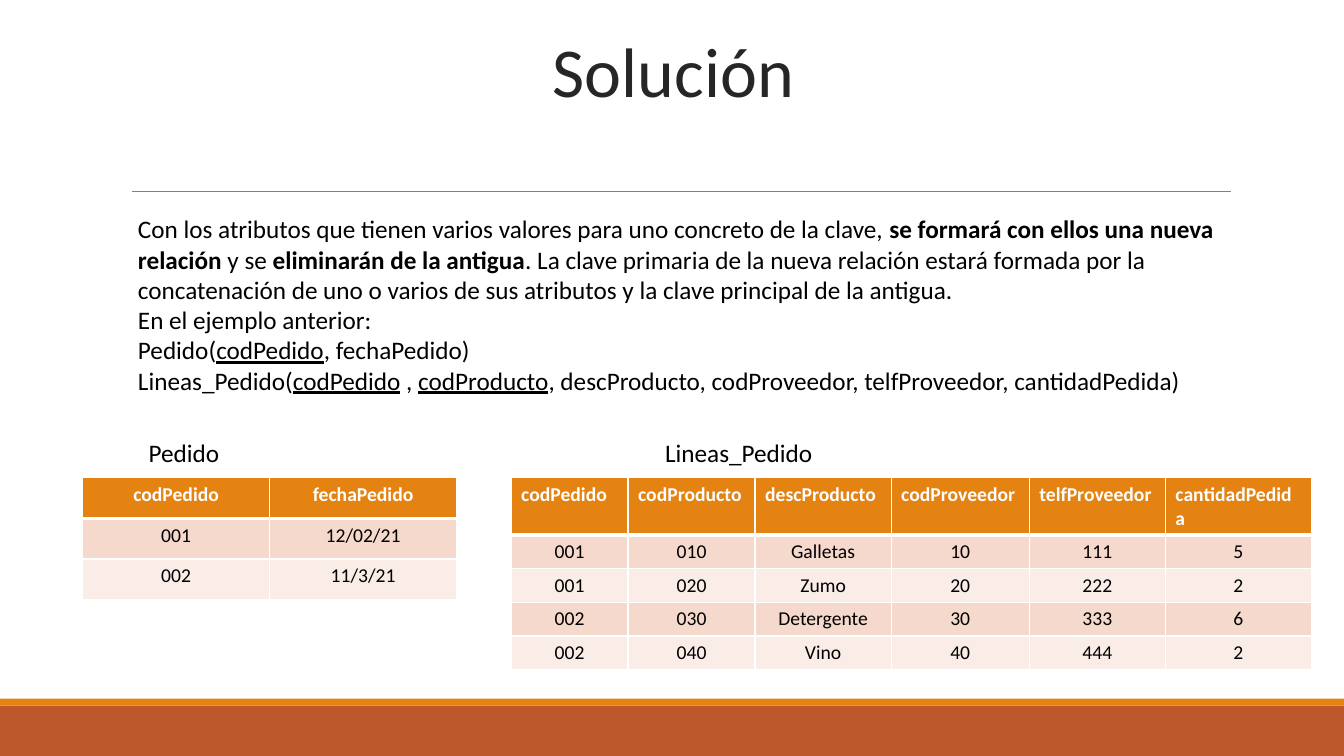
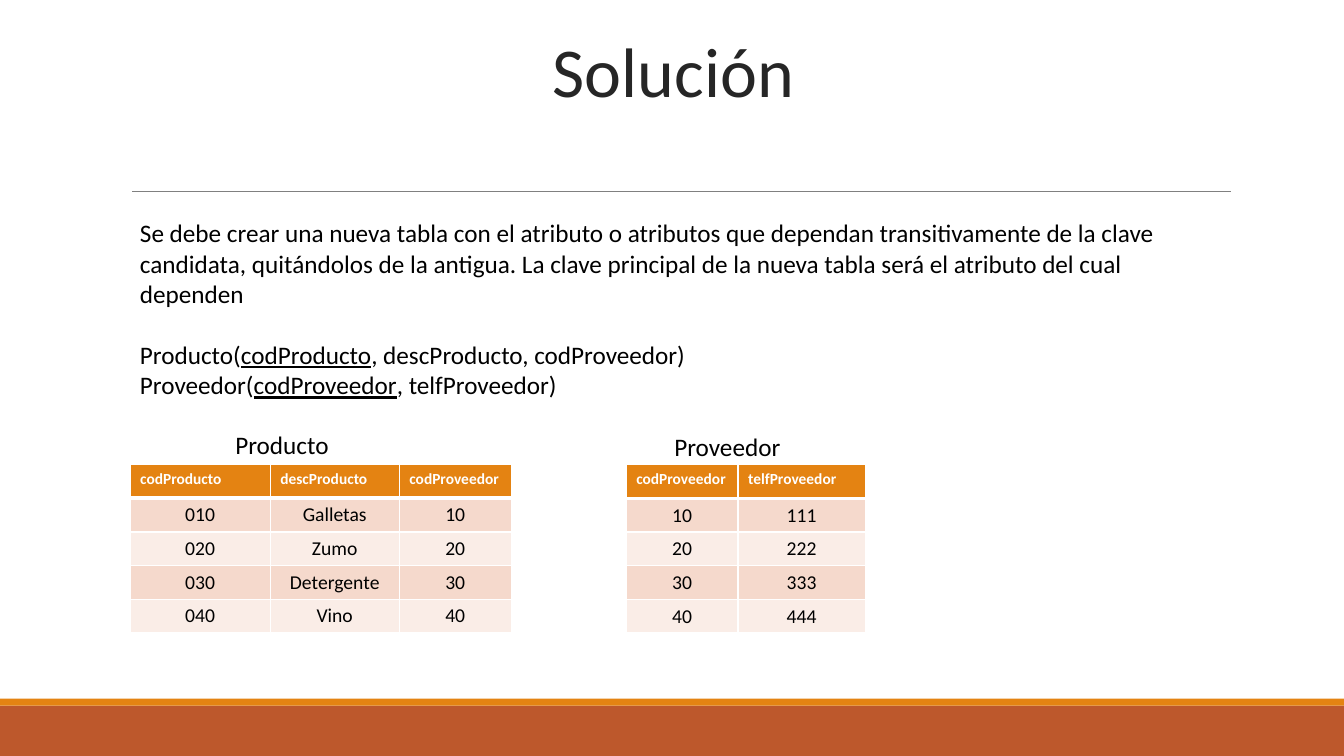
import dataclasses

import pptx
import pptx.dml.color
import pptx.enum.shapes
import pptx.enum.text
import pptx.oxml.ns
import pptx.util
from lxml import etree

ALIGN = pptx.enum.text.PP_ALIGN
WIDE, HIGH = pptx.util.Inches(13.33), pptx.util.Inches(7.5)


@dataclasses.dataclass(frozen=True)
class Theme:
    font: str = "Calibri"
    ink: str = "000000"
    title: str = "262626"
    white: str = "FFFFFF"
    rule: str = "808080"
    rust: str = "BD582C"
    amber: str = "E48312"
    bands: tuple = ("F5D9CC", "FAEDE7")
    big: int = 50
    body: int = 18
    cell: int = 14
    small: int = 11


THEME = Theme()


@dataclasses.dataclass(frozen=True)
class Box:
    """Left, top, width and height in percent of the slide."""
    x: float
    y: float
    w: float
    h: float

    def place(self):
        return (int(WIDE * self.x / 100), int(HIGH * self.y / 100),
                int(WIDE * self.w / 100), int(HIGH * self.h / 100))


def tint(code):
    return pptx.dml.color.RGBColor.from_string(code)


def write(para, text, size, color=THEME.ink, style=""):
    """Add one run; style holds b for bold and u for underline."""
    run = para.add_run()
    run.text = text
    font = run.font
    font.name, font.size = THEME.font, pptx.util.Pt(size)
    font.color.rgb = tint(color)
    font.bold, font.underline = "b" in style, "u" in style


def prose(slide, box, paras):
    """Write paragraphs, each a pair of space before and runs."""
    frame = slide.shapes.add_textbox(*box.place()).text_frame
    frame.word_wrap = True
    for num, (gap, runs) in enumerate(paras):
        para = frame.add_paragraph() if num else frame.paragraphs[0]
        if gap:
            para.space_before = pptx.util.Pt(gap)
        for text, style in runs:
            write(para, text, THEME.body, style=style)


def edge(cell, side, width):
    line = etree.SubElement(cell._tc.get_or_add_tcPr(),
                            pptx.oxml.ns.qn(f"a:ln{side}"),
                            w=str(int(pptx.util.Pt(width))))
    fill = etree.SubElement(line, pptx.oxml.ns.qn("a:solidFill"))
    etree.SubElement(fill, pptx.oxml.ns.qn("a:srgbClr"), val=THEME.white)


def grid(slide, box, cols, rows, size, align):
    """Draw a table; cols are relative widths, size and align are the head's."""
    table = slide.shapes.add_table(len(rows), len(cols), *box.place()).table
    for col, part in zip(table.columns, cols):
        col.width = int(WIDE * box.w / 100 * part / sum(cols))
    for i, row in enumerate(rows):
        head = i == 0
        for j, text in enumerate(row):
            cell = table.cell(i, j)
            for side, width in (("L", 1), ("R", 1), ("T", 3 if i == 1 else 1),
                                ("B", 3 if head else 1)):
                edge(cell, side, width)
            cell.fill.solid()
            cell.fill.fore_color.rgb = tint(
                THEME.amber if head else THEME.bands[(i - 1) % 2])
            para = cell.text_frame.paragraphs[0]
            para.alignment = align if head else ALIGN.CENTER
            if head:
                write(para, text, size, THEME.white, "b")
            else:
                write(para, text, THEME.cell)


def panel(slide, box, name, indent, span, drop, cols, rows,
          size=THEME.cell, align=ALIGN.LEFT):
    """Place a label above a table; indent and span are shares of the box."""
    label = Box(box.x + box.w * indent, box.y, box.w * span, 5.33)
    prose(slide, label, [(0, [(name, "")])])
    area = Box(box.x, box.y + drop, box.w, box.h - drop)
    grid(slide, area, cols, rows, size, align)


def dress(layout, slide):
    """Move the bands and the rule, drawn on a slide, into its layout."""
    for item in list(layout.placeholders)[1:]:
        layout.shapes.element.remove(item.element)
    parts = []
    for box, color in ((Box(0, 93.33, 100, 6.67), THEME.rust),
                       (Box(0, 92.4, 100, 0.93), THEME.amber)):
        band = slide.shapes.add_shape(
            pptx.enum.shapes.MSO_SHAPE.RECTANGLE, *box.place())
        band.shadow.inherit = False
        band.fill.solid()
        band.fill.fore_color.rgb = tint(color)
        band.line.fill.background()
        parts.append(band)
    x, y, w, _ = Box(9.83, 25.33, 81.77, 0).place()
    rule = slide.shapes.add_connector(
        pptx.enum.shapes.MSO_CONNECTOR.STRAIGHT, x, y, x + w, y)
    rule.line.color.rgb = tint(THEME.rule)
    rule.line.width = pptx.util.Pt(0.5)
    etree.SubElement(rule.element.spPr, pptx.oxml.ns.qn("a:effectLst"))
    for part in parts + [rule]:
        layout.shapes.element.append(part.element)


def start(deck, text):
    """Add a slide with its title."""
    slide = deck.slides.add_slide(deck.slide_layouts[5])
    title = slide.shapes.title
    title.left, title.top, title.width, title.height = Box(
        2.63, 4.93, 94.97, 10.53).place()
    frame = title.text_frame
    frame.word_wrap = True
    frame.auto_size = pptx.enum.text.MSO_AUTO_SIZE.NONE
    frame.vertical_anchor = pptx.enum.text.MSO_ANCHOR.MIDDLE
    frame.margin_left = frame.margin_right = 0
    para = frame.paragraphs[0]
    para.alignment, para.line_spacing = ALIGN.CENTER, 0.8
    write(para, text, THEME.big, THEME.title)
    return slide


def orders(slide):
    prose(slide, Box(9.53, 27.6, 81.7, 29.6), [
        (0, [("Con los atributos que tienen varios valores para uno concreto "
              "de la clave, ", ""),
             ("se formará con ellos una nueva relación ", "b"),
             ("y se ", ""),
             ("eliminarán de la antigua", "b"),
             (". La clave primaria de la nueva relación estará formada por la "
              "concatenación de uno o varios de sus atributos y la clave "
              "principal de la antigua.", "")]),
        (0, [("En el ejemplo anterior:", "")]),
        (0, [("Pedido(", ""), ("codPedido", "u"), (", fechaPedido)", "")]),
        (0, [("Lineas_Pedido(", ""), ("codPedido", "u"), (" , ", ""),
             ("codProducto", "u"),
             (", descProducto, codProveedor, telfProveedor, cantidadPedida)",
              "")]),
    ])
    panel(slide, Box(6.15, 57.2, 27.83, 22.13), "Pedido", 0.15, 0.63, 6,
          (1, 1), [("codPedido", "fechaPedido"),
                   ("001", "12/02/21"), ("002", "11/3/21")],
          align=ALIGN.CENTER)
    panel(slide, Box(38.03, 57.2, 59.56, 28.27), "Lineas_Pedido",
          0.18, 0.35, 6, (116, 126, 135, 137, 135, 145),
          [("codPedido", "codProducto", "descProducto", "codProveedor",
            "telfProveedor", "cantidadPedida"),
           ("001", "010", "Galletas", "10", "111", "5"),
           ("001", "020", "Zumo", "20", "222", "2"),
           ("002", "030", "Detergente", "30", "333", "6"),
           ("002", "040", "Vino", "40", "444", "2")])


def goods(slide):
    prose(slide, Box(9.68, 28.13, 77.57, 26), [
        (0, [("Se debe crear una nueva tabla con el atributo o atributos que "
              "dependan transitivamente de la clave candidata, quitándolos de "
              "la antigua. La clave principal de la nueva tabla será el "
              "atributo del cual dependen", "")]),
        (22, [("Producto(", ""), ("codProducto", "u"),
              (", descProducto, codProveedor)", "")]),
        (0, [("Proveedor(", ""), ("codProveedor", "u"),
             (", telfProveedor)", "")]),
    ])
    panel(slide, Box(9.68, 56.13, 28.36, 27.6), "Producto", 0.25, 0.5, 5.33,
          (139, 128, 111),
          [("codProducto", "descProducto", "codProveedor"),
           ("010", "Galletas", "10"), ("020", "Zumo", "20"),
           ("030", "Detergente", "30"), ("040", "Vino", "40")], THEME.small)
    panel(slide, Box(46.59, 56.4, 17.78, 27.33), "Proveedor", 0.16, 0.68, 5.07,
          (111, 126),
          [("codProveedor", "telfProveedor"), ("10", "111"), ("20", "222"),
           ("30", "333"), ("40", "444")], THEME.small)


def main():
    deck = pptx.Presentation()
    deck.slide_width, deck.slide_height = WIDE, HIGH
    for num, fill in enumerate((orders, goods)):
        slide = start(deck, "Solución")
        if num == 0:
            dress(slide.slide_layout, slide)
        fill(slide)
    deck.save("out.pptx")


if __name__ == "__main__":
    main()
